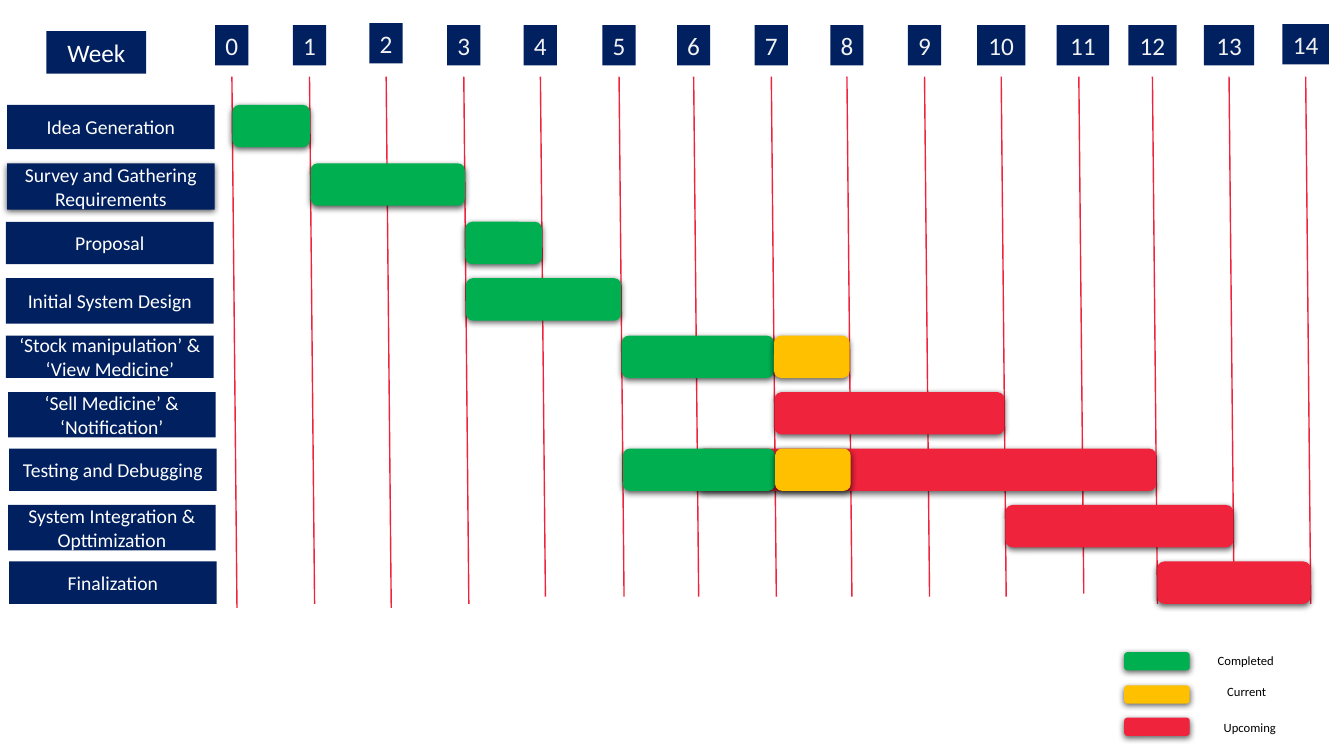
from lxml import etree
from pptx import Presentation
from pptx.dml.color import RGBColor
from pptx.enum.shapes import MSO_CONNECTOR, MSO_SHAPE
from pptx.enum.text import MSO_ANCHOR, PP_ALIGN
from pptx.oxml.ns import qn
from pptx.util import Inches, Pt

RECT, ROUND = MSO_SHAPE.RECTANGLE, MSO_SHAPE.ROUNDED_RECTANGLE
STRAIGHT = MSO_CONNECTOR.STRAIGHT
MIDDLE, CENTER = MSO_ANCHOR.MIDDLE, PP_ALIGN.CENTER

FONT = "Calibri"
NAVY, WHITE, PALE, BLACK = "002060", "FFFFFF", "F2F2F2", "000000"
GREEN, AMBER, RED = "00B050", "FFC000", "EF233C"

LINE_TOP, SLANT, LINE_SPAN = 0.76, 0.05, 5.2

# Week line: x at the top, y of the lower end, width of the number box
WEEKS = [
    (2.3, 6.03, 0.33), (3.07, 5.99, 0.33), (3.83, 6.03, 0.33),
    (4.6, 5.99, 0.33), (5.36, 5.92, 0.33), (6.14, 5.92, 0.33),
    (6.88, 5.92, 0.33), (7.65, 5.92, 0.33), (8.4, 5.92, 0.33),
    (9.17, 5.92, 0.33), (9.93, 5.92, 0.48), (10.74, 5.89, 0.52),
    (11.43, 5.99, 0.48), (12.19, 5.99, 0.5), (12.95, 5.99, 0.46),
]
RAISED = {2: 0.02, 14: 0.01}

# Task: label, label box, bars as (first week, last week, colour)
TASKS = [
    ("Idea Generation", (0.07, 1.04, 2.06, 0.44), [(0, 1, GREEN)]),
    ("Survey and Gathering Requirements", (0.07, 1.62, 2.06, 0.46),
     [(1, 3, GREEN)]),
    ("Proposal", (0.06, 2.2, 2.06, 0.42), [(3, 4, GREEN)]),
    ("Initial System Design", (0.06, 2.76, 2.06, 0.45), [(3, 5, GREEN)]),
    ("‘Stock manipulation’ & ‘View Medicine’", (0.06, 3.33, 2.06, 0.42),
     [(5, 7, GREEN), (7, 8, AMBER)]),
    ("‘Sell Medicine’ & ‘Notification’", (0.08, 3.89, 2.06, 0.45),
     [(7, 10, RED)]),
    ("Testing and Debugging", (0.09, 4.45, 2.06, 0.42),
     [(6, 12, RED), (5, 7, GREEN), (7, 8, AMBER)]),
    ("System Integration & Opttimization", (0.08, 5.01, 2.06, 0.45),
     [(10, 13, RED)]),
    ("Finalization", (0.09, 5.57, 2.06, 0.42), [(12, 14, RED)]),
]
SHADOWED_LABEL = "Survey and Gathering Requirements"

# Legend: name, colour, swatch top, text left and top
LEGEND = [
    ("Completed", GREEN, 6.47, 11.95, 6.39),
    ("Current", AMBER, 6.8, 11.96, 6.7),
    ("Upcoming", RED, 7.12, 11.99, 7.05),
]


def rgb(hex_color):
    return RGBColor.from_string(hex_color)


def add_shadow(sp):
    effects = sp._element.spPr.find(qn("a:effectLst"))
    shadow = etree.SubElement(
        effects, qn("a:outerShdw"), blurRad=str(Pt(4.5)), dist=str(Pt(1.5)),
        dir="5400000", algn="ctr", rotWithShape="0")
    color = etree.SubElement(shadow, qn("a:srgbClr"), val=BLACK)
    etree.SubElement(color, qn("a:alpha"), val="63000")


def write(sp, text, size, color, wrap=True):
    tf = sp.text_frame
    tf.word_wrap = wrap
    tf.vertical_anchor = MIDDLE
    p = tf.paragraphs[0]
    p.alignment = CENTER
    r = p.add_run()
    r.text = text
    for name, value in {"name": FONT, "size": Pt(size)}.items():
        setattr(r.font, name, value)
    r.font.color.rgb = rgb(color)


def add_block(s, kind, box, fill, shadow=False):
    sp = s.shapes.add_shape(kind, *map(Inches, box))
    sp.fill.solid()
    sp.fill.fore_color.rgb = rgb(fill)
    sp.line.fill.background()
    sp.shadow.inherit = False
    if shadow:
        add_shadow(sp)
    return sp


def week_x(week, y):
    """Return where the slanted line of a week crosses height y."""
    x = 10.7 if week == 11 else WEEKS[week][0]
    return x + SLANT * (y - LINE_TOP) / LINE_SPAN


def add_week_axis(s, top, height):
    write(add_block(s, RECT, (0.46, 0.31, 0.99, 0.42), NAVY), "Week", 18, WHITE)
    for week, (center, bottom, width) in enumerate(WEEKS):
        ends = (week_x(week, LINE_TOP), LINE_TOP, week_x(week, bottom), bottom)
        line = s.shapes.add_connector(STRAIGHT, *map(Inches, ends))
        line.line.color.rgb = rgb(RED)
        line.line.width = Pt(1)
        etree.SubElement(line._element.spPr, qn("a:effectLst"))
        box = (center - width / 2, top - RAISED.get(week, 0), width, height)
        write(add_block(s, RECT, box, NAVY), str(week), 18, PALE, wrap=False)


def add_task(s, label, box, bars):
    write(add_block(s, RECT, box, NAVY, label == SHADOWED_LABEL),
          label, 14, WHITE)
    top, height = box[1], 0.42
    for first, last, color in bars:
        left, right = (week_x(w, top + height / 2) for w in (first, last))
        add_block(s, ROUND, (left, top, right - left, height), color, True)


def add_legend(s, left):
    for name, color, top, text_left, text_top in LEGEND:
        add_block(s, ROUND, (left, top, 0.65, 0.18), color, True)
        box = (text_left, text_top, 0.81, 0.33)
        write(s.shapes.add_textbox(*map(Inches, box)), name, 9, BLACK)


def main():
    prs = Presentation()
    prs.slide_width, prs.slide_height = Inches(13.33), Inches(7.5)
    s = prs.slides.add_slide(prs.slide_layouts[6])
    add_week_axis(s, 0.25, 0.4)
    for label, box, bars in TASKS:
        add_task(s, label, box, bars)
    add_legend(s, 11.15)
    prs.save("out.pptx")


if __name__ == "__main__":
    main()
